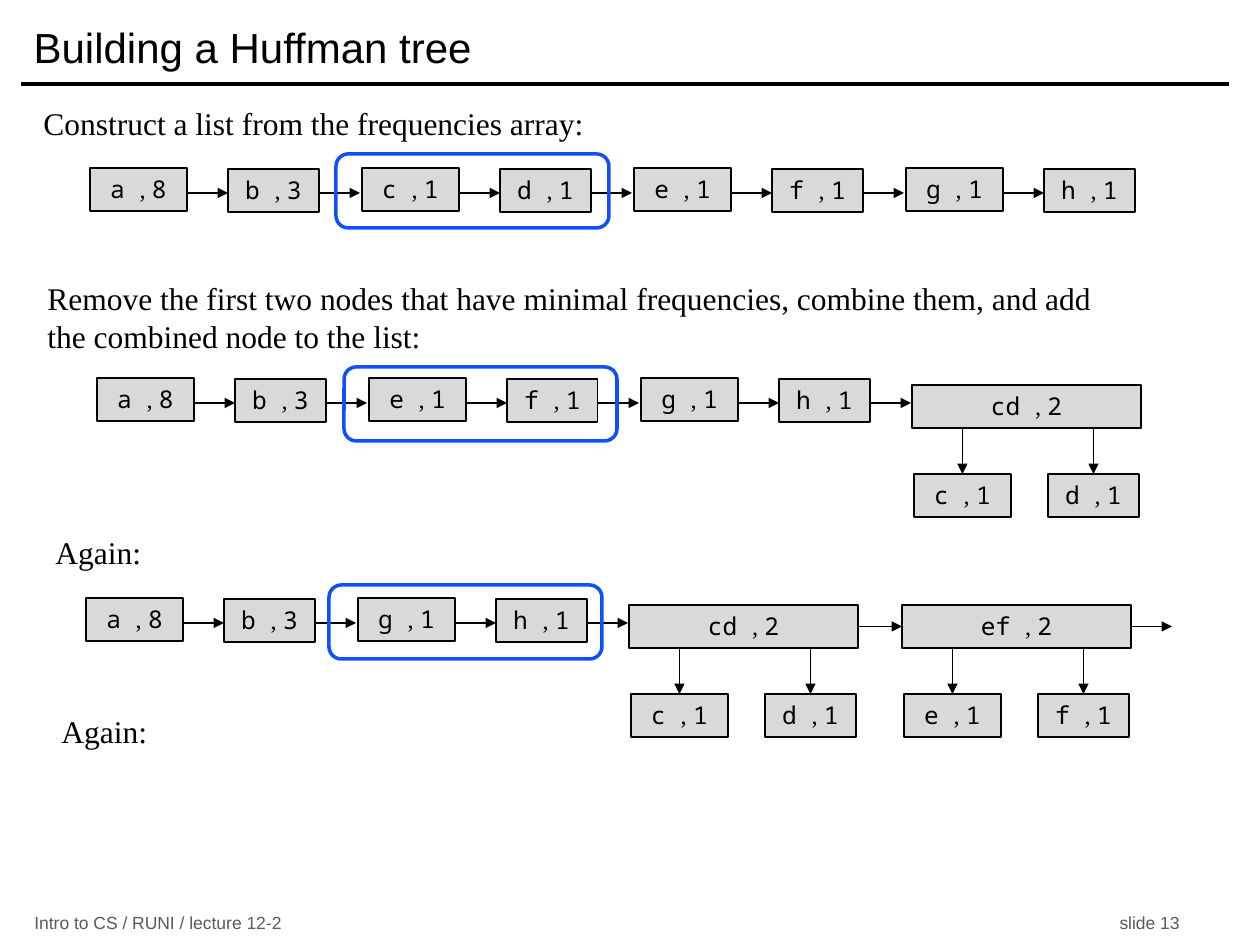
from dataclasses import dataclass

import pptx
import pptx.dml.color
import pptx.enum.shapes
import pptx.enum.text
import pptx.oxml.ns
import pptx.util
from lxml import etree

PX_PER_INCH = 126
SHAPE = pptx.enum.shapes.MSO_SHAPE
ALIGN = pptx.enum.text.PP_ALIGN
ANCHOR = pptx.enum.text.MSO_ANCHOR
AUTO_SIZE = pptx.enum.text.MSO_AUTO_SIZE

TOP, LEFT, RIGHT = 0, 1, 3            # connection sites of a rectangle
NODE_HEIGHT = 43
NODE_WIDTHS = (97, 91)                # nodes alternate wide and narrow
NODE_OFFSETS = (0, 138)               # their places within a pair
PAIR_STEP = 272
ARROW_LENGTH, ARROW_DROP = 41, 25
TREE_WIDTH, CHILD_DROP = 229, 89
CHILD_OFFSETS = (2, 136)


def px(length):
    return pptx.util.Emu(round(length * pptx.util.Inches(1) / PX_PER_INCH))


def rgb(code):
    return pptx.dml.color.RGBColor.from_string(code)


@dataclass(frozen=True)
class Theme:
    ink: str = "000000"
    muted: str = "595959"
    node: str = "D9D9D9"
    highlight: str = "114FFB"
    sans: str = "Arial"
    serif: str = "Times New Roman"
    mono: str = "Noto Sans Mono"
    title_size: int = 24
    body_size: int = 18
    node_size: int = 14
    footer_size: int = 10
    thin: float = 0.75
    thick: float = 2


class SlideBuilder:
    def __init__(self, page, theme):
        self.page = page
        self.theme = theme

    def style_font(self, font, size, color, name=None):
        font.size = pptx.util.Pt(size)
        font.color.rgb = rgb(color)
        if name:
            font.name = name

    def title(self, text, x, y, width, height):
        box = self.page.shapes.title
        box.left, box.top, box.width, box.height = map(px, (x, y, width, height))
        box.text_frame.text = text
        box.text_frame.vertical_anchor = ANCHOR.MIDDLE
        para = box.text_frame.paragraphs[0]
        para.alignment = ALIGN.LEFT
        self.style_font(para.font, self.theme.title_size, self.theme.ink, self.theme.sans)

    def text_box(self, text, x, y, width, height, size, color, name):
        box = self.page.shapes.add_textbox(*map(px, (x, y, width, height)))
        box.text_frame.word_wrap = True
        box.text_frame.text = text
        self.style_font(box.text_frame.paragraphs[0].font, size, color, name)
        return box

    def caption(self, text, x, y, height=50):
        theme = self.theme
        self.text_box(text, x, y, 1104, height, theme.body_size, theme.ink, theme.serif)

    def footer(self, text, x, width, alignment):
        theme = self.theme
        box = self.text_box(text, x, 911, width, 24, theme.footer_size, theme.muted, theme.sans)
        box.text_frame.vertical_anchor = ANCHOR.MIDDLE
        box.text_frame.paragraphs[0].alignment = alignment

    def line(self, x1, y1, x2, y2, weight):
        line = self.page.shapes.add_connector(
            pptx.enum.shapes.MSO_CONNECTOR.STRAIGHT, *map(px, (x1, y1, x2, y2)))
        line.line.color.rgb = rgb(self.theme.ink)
        line.line.width = pptx.util.Pt(weight)
        properties = line.line._get_or_add_ln().getparent()
        etree.SubElement(properties, pptx.oxml.ns.qn("a:effectLst"))
        return line

    def arrow(self, x1, y1, x2, y2):
        arrow = self.line(x1, y1, x2, y2, self.theme.thin)
        etree.SubElement(arrow.line._get_or_add_ln(), pptx.oxml.ns.qn("a:tailEnd"),
                         type="triangle")
        return arrow

    def outline(self, kind, x, y, width, height, color, weight):
        shape = self.page.shapes.add_shape(kind, *map(px, (x, y, width, height)))
        shape.shadow.inherit = False
        shape.line.color.rgb = rgb(color)
        shape.line.width = pptx.util.Pt(weight)
        return shape

    def highlight(self, x, y):
        shape = self.outline(SHAPE.ROUNDED_RECTANGLE, x, y, 273, 74,
                             self.theme.highlight, self.theme.thick)
        shape.fill.background()

    def node(self, symbols, count, x, y, width):
        theme = self.theme
        box = self.outline(SHAPE.RECTANGLE, x, y, width, NODE_HEIGHT, theme.ink, theme.thin)
        box.fill.solid()
        box.fill.fore_color.rgb = rgb(theme.node)
        frame = box.text_frame
        frame.word_wrap = True
        frame.auto_size = AUTO_SIZE.SHAPE_TO_FIT_TEXT
        frame.vertical_anchor = ANCHOR.TOP
        para = frame.paragraphs[0]
        para.alignment = ALIGN.CENTER
        for text, name in ((symbols + " ", theme.mono), (", ", theme.serif),
                           (str(count), theme.mono)):
            span = para.add_run()
            span.text = text
            self.style_font(span.font, theme.node_size, theme.ink, name)
        return box

    def chain(self, nodes, x, y, open_end=True):
        """Linked list of (symbol, count) nodes; open_end adds a last arrow."""
        for index, (symbol, count) in enumerate(nodes):
            pair, side = divmod(index, 2)
            left = x + pair * PAIR_STEP + NODE_OFFSETS[side]
            right = left + NODE_WIDTHS[side]
            self.node(symbol, count, left, y + side, NODE_WIDTHS[side])
            if open_end or index < len(nodes) - 1:
                self.arrow(right, y + ARROW_DROP, right + ARROW_LENGTH, y + ARROW_DROP)

    def tree(self, symbols, x, y):
        """Combined node with one child of frequency 1 per symbol."""
        root = self.node(symbols, len(symbols), x, y, TREE_WIDTH)
        for symbol, offset, width in zip(symbols, CHILD_OFFSETS, NODE_WIDTHS):
            child = self.node(symbol, 1, x + offset, y + CHILD_DROP, width)
            center = x + offset + width / 2
            arrow = self.arrow(center, y + NODE_HEIGHT, center, y + CHILD_DROP)
            arrow.end_connect(child, TOP)
        return root


def main():
    deck = pptx.Presentation()
    deck.slide_width, deck.slide_height = pptx.util.Inches(10), pptx.util.Inches(7.5)
    page = deck.slides.add_slide(deck.slide_layouts[5])
    theme = Theme()
    builder = SlideBuilder(page, theme)

    # Title, rule and footer
    builder.line(21, 84, 1229, 84, theme.thick)
    builder.title("Building a Huffman tree", 21, 10, 1207, 73)
    builder.footer("Intro to CS / RUNI / lecture 12-2", 22, 500, ALIGN.LEFT)
    builder.footer("slide 13", 992, 200, ALIGN.RIGHT)

    # Initial list
    start = [("a", 8), ("b", 3)]
    singles = [(symbol, 1) for symbol in "cdefgh"]
    builder.caption("Construct a list from the frequencies array:", 31, 98)
    builder.chain(start + singles, 90, 168, open_end=False)
    builder.highlight(336, 154)

    # First combination
    builder.caption("Remove the first two nodes that have minimal frequencies, combine "
                    "them, and add the combined node to the list:", 35, 273, 89)
    builder.chain(start + singles[2:], 97, 378)
    builder.tree("cd", 912, 385)
    builder.highlight(344, 367)

    # Second combination
    builder.caption("Again:", 43, 527)
    builder.chain(start + singles[4:], 86, 598)
    tree_y, middle = 605, 605 + NODE_HEIGHT / 2
    first = builder.tree("cd", 629, tree_y)
    second = builder.tree("ef", 902, tree_y)
    link = builder.arrow(629 + TREE_WIDTH, middle, 902, middle)
    link.begin_connect(first, RIGHT)
    link.end_connect(second, LEFT)
    tree_end = 902 + TREE_WIDTH
    onward = builder.arrow(tree_end, middle, tree_end + ARROW_LENGTH, middle)
    onward.begin_connect(second, RIGHT)
    builder.highlight(329, 585)

    # Next step
    builder.caption("Again:", 49, 706)

    deck.save("out.pptx")


if __name__ == "__main__":
    main()
